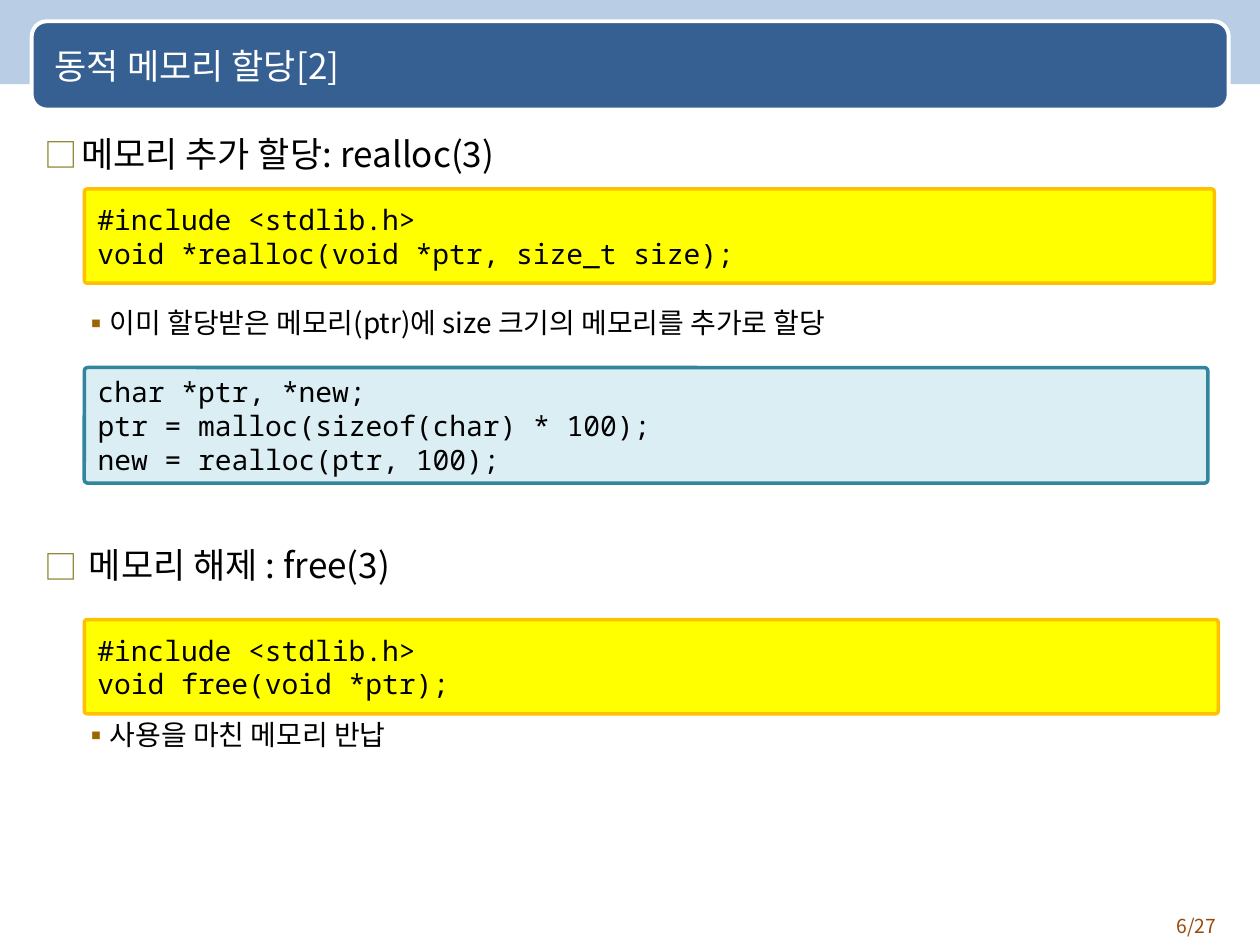
from lxml.etree import SubElement
from pptx import Presentation
from pptx.dml.color import RGBColor
from pptx.enum.shapes import MSO_SHAPE
from pptx.enum.text import MSO_ANCHOR, MSO_AUTO_SIZE, PP_ALIGN
from pptx.oxml.ns import qn
from pptx.util import Cm, Pt

WHITE = RGBColor(0xFF, 0xFF, 0xFF)
BLACK = RGBColor(0x00, 0x00, 0x00)
BAND_BLUE = RGBColor(0xB9, 0xCD, 0xE5)
TITLE_BLUE = RGBColor(0x37, 0x60, 0x92)
YELLOW = RGBColor(0xFF, 0xFF, 0x00)
ORANGE = RGBColor(0xFF, 0xC0, 0x00)
PALE_TEAL = RGBColor(0xDB, 0xEE, 0xF4)
TEAL = RGBColor(0x31, 0x85, 0x9C)
OLIVE = RGBColor(0x88, 0x81, 0x28)
BROWN = RGBColor(0x99, 0x66, 0x00)
RUST = RGBColor(0x98, 0x48, 0x07)

TEXT_FONT = "Noto Sans CJK KR"
CODE_FONT = "Noto Sans Mono"


def write_text(paragraph, text, size=16, font=TEXT_FONT, color=BLACK,
               align=PP_ALIGN.LEFT, before=0):
    paragraph.alignment = align
    paragraph.space_before = Pt(before)
    paragraph.space_after = Pt(0)
    run = paragraph.add_run()
    run.text = text
    run.font.size = Pt(size)
    run.font.name = font
    run.font.color.rgb = color
    # East Asian letters take their own font element
    SubElement(run.font._element, qn("a:ea"), typeface=font)


def set_bullet(paragraph, character, color, percent, margin, hanging):
    properties = paragraph._p.get_or_add_pPr()
    properties.set("marL", str(margin))
    properties.set("indent", str(-hanging))
    bullet_color = SubElement(properties, qn("a:buClr"))
    SubElement(bullet_color, qn("a:srgbClr"), val=str(color))
    SubElement(properties, qn("a:buSzPct"), val=str(percent * 1000))
    SubElement(properties, qn("a:buFont"), typeface=TEXT_FONT)
    SubElement(properties, qn("a:buChar"), char=character)


class SlideBuilder:
    # Bullet style for each list level: character, colour, percent, margin, hanging
    bullets = [("□", OLIVE, 95, Cm(0.74), Cm(0.74)),
               ("▪", BROWN, 100, Cm(1.24), Cm(0.48))]
    sizes = [20, 16]

    def __init__(self, slide):
        self.slide = slide

    def place(self, shape, left, top, width, height):
        shape.left, shape.top = Cm(left), Cm(top)
        shape.width, shape.height = Cm(width), Cm(height)
        frame = shape.text_frame
        frame.word_wrap = True
        frame.auto_size = MSO_AUTO_SIZE.NONE
        return frame

    def panel(self, kind, left, top, width, height, fill, line=None,
              line_width=2, radius=None):
        shape = self.slide.shapes.add_shape(
            kind, Cm(left), Cm(top), Cm(width), Cm(height))
        shape.shadow.inherit = False
        shape.fill.solid()
        shape.fill.fore_color.rgb = fill
        if line is None:
            shape.line.fill.background()
        else:
            shape.line.color.rgb = line
            shape.line.width = Pt(line_width)
        if radius is not None:
            shape.adjustments[0] = radius
        return shape

    def backdrop(self, *arguments, **style):
        shape = self.panel(*arguments, **style)
        self.slide.shapes.title.element.addprevious(shape.element)

    def title(self, text, *box):
        frame = self.place(self.slide.shapes.title, *box)
        frame.vertical_anchor = MSO_ANCHOR.MIDDLE
        write_text(frame.paragraphs[0], text, size=20, color=WHITE)

    def body(self, items, *box):
        frame = self.place(self.slide.placeholders[1], *box)
        for index, (level, before, text) in enumerate(items):
            paragraph = frame.add_paragraph() if index else frame.paragraphs[0]
            paragraph.level = level
            write_text(paragraph, text, size=self.sizes[level], before=before)
            set_bullet(paragraph, *self.bullets[level])

    def code(self, lines, top, width, height, fill, line):
        shape = self.panel(MSO_SHAPE.ROUNDED_RECTANGLE, 1.7, top, width, height,
                           fill, line, radius=0.03)
        frame = shape.text_frame
        frame.word_wrap = True
        frame.vertical_anchor = MSO_ANCHOR.MIDDLE
        for index, text in enumerate(lines):
            paragraph = frame.add_paragraph() if index else frame.paragraphs[0]
            write_text(paragraph, text, font=CODE_FONT, align=PP_ALIGN.JUSTIFY)

    def page_number(self, text, *box):
        shape = self.slide.shapes.add_textbox(0, 0, 0, 0)
        frame = self.place(shape, *box)
        write_text(frame.paragraphs[0], text, size=11, color=RUST,
                   align=PP_ALIGN.RIGHT)


def main():
    presentation = Presentation()
    presentation.slide_width, presentation.slide_height = Cm(25.4), Cm(19.05)
    slide = presentation.slides.add_slide(presentation.slide_layouts[1])
    builder = SlideBuilder(slide)

    # Header band and title
    builder.backdrop(MSO_SHAPE.RECTANGLE, -0.03, 0, 25.45, 1.7, BAND_BLUE)
    builder.backdrop(MSO_SHAPE.ROUNDED_RECTANGLE, 0.64, 0.43, 24.13, 1.78,
                     TITLE_BLUE, line=WHITE, line_width=2.25, radius=0.17)
    builder.title("동적 메모리 할당[2]", 0.85, 0.48, 23.5, 1.7)

    # List: level, space before, text; the gaps leave room for the code boxes
    builder.body([
        (0, 0, "메모리 추가 할당: realloc(3)"),
        (1, 75, "이미 할당받은 메모리(ptr)에 size 크기의 메모리를 추가로 할당"),
        (0, 117, " 메모리 해제 : free(3)"),
        (1, 75, "사용을 마친 메모리 반납"),
    ], 0.64, 2.54, 24.13, 15.88)

    # Code boxes
    builder.code(["#include <stdlib.h>", "void *realloc(void *ptr, size_t size);"],
                 3.81, 22.78, 1.9, YELLOW, ORANGE)
    builder.code(["char *ptr, *new;", "ptr = malloc(sizeof(char) * 100);",
                  "new = realloc(ptr, 100);"],
                 7.41, 22.65, 2.33, PALE_TEAL, TEAL)
    builder.code(["#include <stdlib.h>", "void free(void *ptr);"],
                 12.49, 22.86, 1.9, YELLOW, ORANGE)

    # Page number
    builder.page_number("6/27", 22.66, 18.31, 2.11, 0.74)
    presentation.save("out.pptx")


if __name__ == "__main__":
    main()
